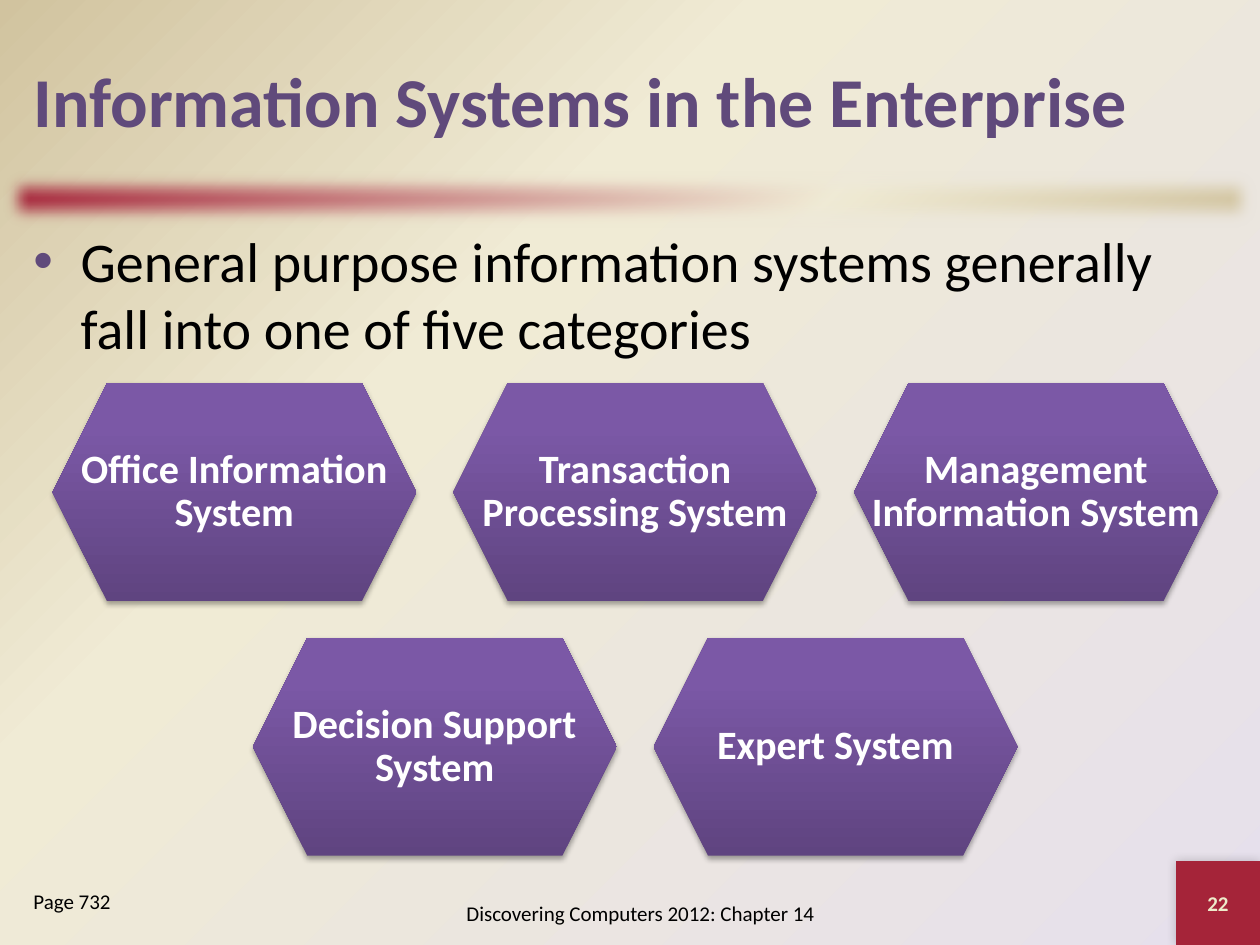
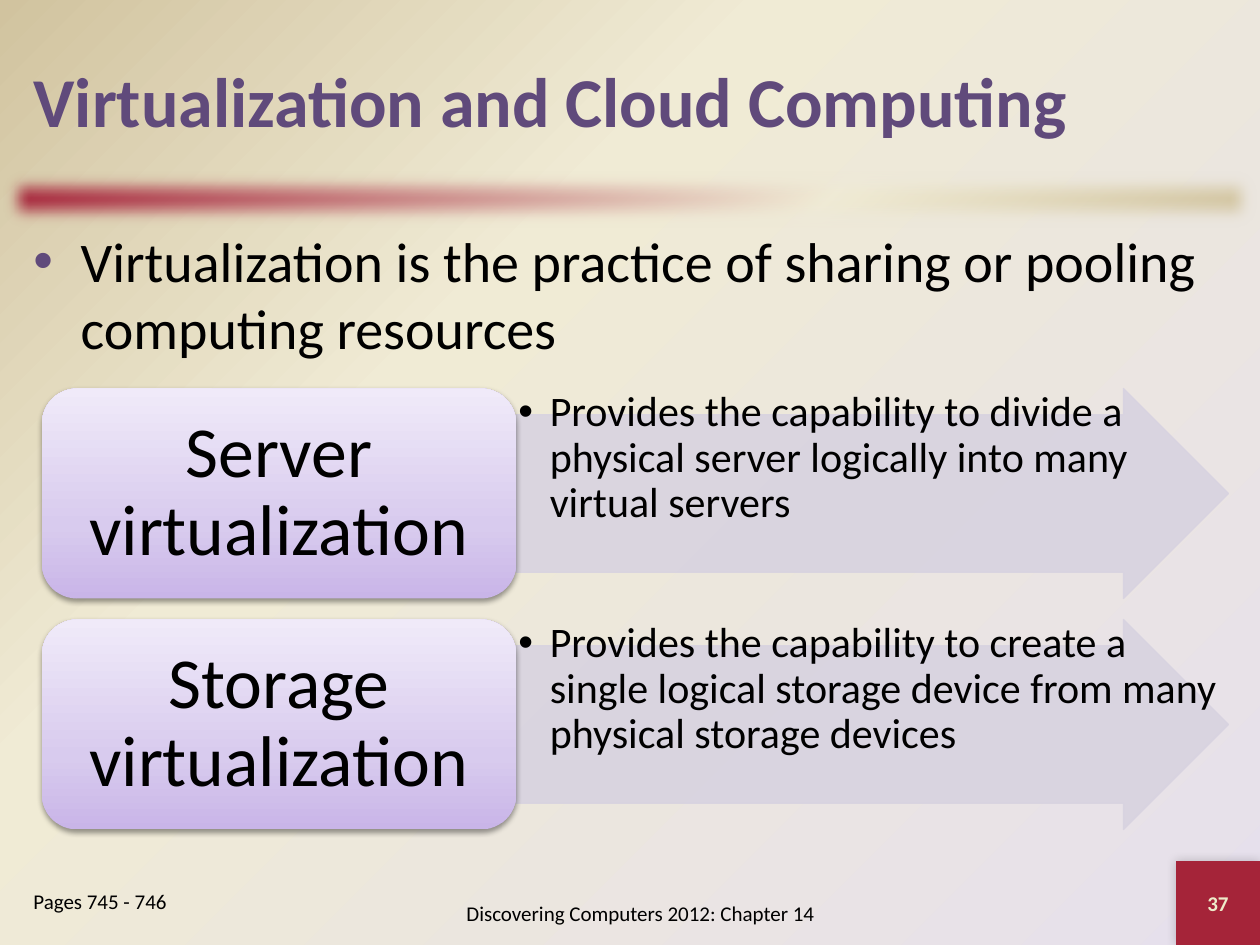
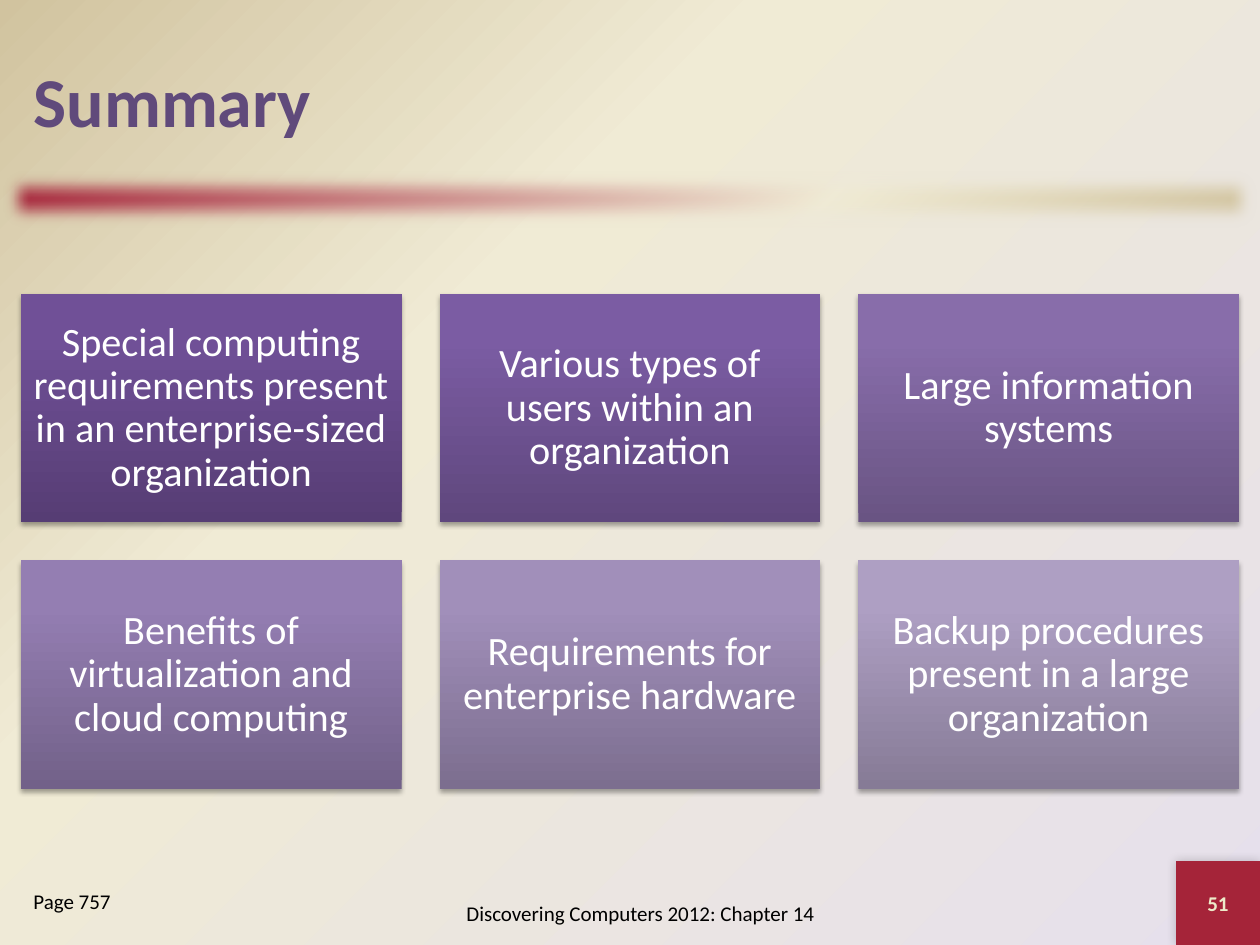
from dataclasses import dataclass
from typing import Iterator, NamedTuple

from lxml import etree
from pptx import Presentation
from pptx import util as u
from pptx.dml.color import RGBColor
from pptx.enum import shapes, text
from pptx.oxml.ns import qn

Pt = u.Pt
Shape = shapes.MSO_SHAPE
Align = text.PP_ALIGN
Anchor = text.MSO_ANCHOR
Stops = tuple[tuple[int, str], ...]


@dataclass(frozen=True)
class Theme:
    font: str = "Calibri"
    heading: str = "604A7B"
    ink: str = "000000"
    white: str = "FFFFFF"
    red: str = "A52439"
    number: str = "EEEBCA"
    arrow: str = "D8D3E0"
    page: Stops = ((0, "E6E0EC"), (65, "F0EBD5"), (100, "D1C39F"))
    band: Stops = ((0, "A52439"), (65, "F0EBD5"), (100, "D1C39F"))
    hexagon: Stops = ((0, "5F4480"), (80, "7B58A6"), (100, "7C57A8"))
    lilac: Stops = ((0, "C9B5E8"), (35, "D8CBEE"), (100, "F0EAF9"))
    title_size: float = 40
    body_size: float = 32
    topic_size: float = 41
    detail_size: float = 24
    tile_size: float = 23
    footer_size: float = 12


class Box(NamedTuple):
    x: float
    y: float
    w: float
    h: float

    def lengths(self) -> tuple:
        return tuple(Pt(v) for v in self)


class Style(NamedTuple):
    size: float
    color: str
    bold: bool = False
    align: Align = Align.LEFT
    anchor: Anchor = Anchor.TOP
    inset: tuple[float, float] = (7.2, 3.6)
    spacing: float = 1.0


class Bullet(NamedTuple):
    indent: float
    color: str


class Shadow(NamedTuple):
    alpha: int
    blur: float
    distance: float
    angle: int


class Page(NamedTuple):
    title: str
    number: str
    reference: str


class Topic(NamedTuple):
    name: str
    detail: str


class Tile(NamedTuple):
    label: str
    stops: Stops


THEME = Theme()
TITLE = Style(THEME.title_size, THEME.heading, True, anchor=Anchor.MIDDLE)
BODY = Style(THEME.body_size, THEME.ink)
REFERENCE = Style(THEME.footer_size, THEME.ink)
FOOTER = Style(THEME.footer_size, THEME.ink, False, Align.CENTER, Anchor.MIDDLE)
NUMBER = Style(THEME.footer_size, THEME.number, True, Align.CENTER, Anchor.MIDDLE)
TILE = Style(THEME.tile_size, THEME.white, False, Align.CENTER, Anchor.MIDDLE, (7, 7), 0.9)
CATEGORY = TILE._replace(bold=True)
TOPIC = TILE._replace(size=THEME.topic_size, color=THEME.ink, inset=(12.5, 6.25))
DETAIL = Style(THEME.detail_size, THEME.ink, inset=(1.2, 1.2), spacing=0.9)

TILE_SHADOW = Shadow(35, 3.1, 1.8, 90)
TOPIC_SHADOW = Shadow(38, 3.1, 1.6, 90)
CORNER_SHADOW = Shadow(20, 6, 0, 225)

TITLE_BOX = Box(12, 12, 696, 90)
BAND_BOX = Box(0, 96, 720, 36)
BODY_BOX = Box(12, 126, 696, 366)
FOOTER_BOX = Box(216, 504, 300, 36)
REFERENCE_BOX = Box(12, 504, 132, 36)
CORNER_BOX = Box(672, 492, 48, 48)

CATEGORIES = [
    "Office Information System",
    "Transaction Processing System",
    "Management Information System",
    "Decision Support System",
    "Expert System",
]
TOPICS = [
    Topic("Server virtualization",
          "Provides the capability to divide a physical server logically into many "
          "virtual servers"),
    Topic("Storage virtualization",
          "Provides the capability to create a single logical storage device from many "
          "physical storage devices"),
]
SUMMARY = [
    Tile("Special computing requirements present in an enterprise-sized organization",
         ((0, "563D74"), (80, "705097"), (100, "704F99"))),
    Tile("Various types of users within an organization",
         ((0, "5F477D"), (80, "7B5CA3"), (100, "7C5BA5"))),
    Tile("Large information systems",
         ((0, "695483"), (80, "886DAA"), (100, "886DAC"))),
    Tile("Benefits of virtualization and cloud computing",
         ((0, "726189"), (80, "947EB2"), (100, "957EB4"))),
    Tile("Requirements for enterprise hardware",
         ((0, "7C6E8F"), (80, "A18FBA"), (100, "A18FBC"))),
    Tile("Backup procedures present in a large organization",
         ((0, "867B96"), (80, "AE9FC3"), (100, "AE9FC4"))),
]


def child(parent, tag: str, **attrs):
    return etree.SubElement(parent, qn(tag), {k: str(v) for k, v in attrs.items()})


def set_gradient(owner, fill, stops: Stops, angle: int | None) -> None:
    """Fill with stops along a clockwise angle, or round the lower right corner if None."""
    fill.gradient()
    grad = owner._element.find(".//" + qn("a:gradFill"))
    del grad[:]
    gs_lst = child(grad, "a:gsLst")
    for position, color in stops:
        gs = child(gs_lst, "a:gs", pos=position * 1000)
        child(gs, "a:srgbClr", val=color)
    if angle is None:
        path = child(grad, "a:path", path="circle")
        child(path, "a:fillToRect", l=100000, t=100000)
    else:
        child(grad, "a:lin", ang=angle * 60000, scaled=0)


def add_shadow(sp, shadow: Shadow) -> None:
    effects = sp._element.spPr.find(qn("a:effectLst"))
    outer = child(effects, "a:outerShdw", blurRad=Pt(shadow.blur), dist=Pt(shadow.distance),
                  dir=shadow.angle * 60000, rotWithShape=0)
    child(child(outer, "a:srgbClr", val=THEME.ink), "a:alpha", val=shadow.alpha * 1000)


def add_shape(slide, kind: Shape, box: Box, fill: str | Stops,
              shadow: Shadow | None = None, angle: int = 270):
    sp = slide.shapes.add_shape(kind, *box.lengths())
    sp.shadow.inherit = False
    sp.line.fill.background()
    if isinstance(fill, str):
        sp.fill.solid()
        sp.fill.fore_color.rgb = RGBColor.from_string(fill)
    else:
        set_gradient(sp, sp.fill, fill, angle)
    if shadow:
        add_shadow(sp, shadow)
    return sp


def write(sp, words: str, style: Style, bullet: Bullet | None = None) -> None:
    tf = sp.text_frame
    tf.word_wrap = True
    tf.auto_size = text.MSO_AUTO_SIZE.NONE
    tf.vertical_anchor = style.anchor
    tf.margin_left = tf.margin_right = Pt(style.inset[0])
    tf.margin_top = tf.margin_bottom = Pt(style.inset[1])
    p = tf.paragraphs[0]
    p.alignment = style.align
    p.line_spacing = style.spacing
    if bullet:
        props = p._p.get_or_add_pPr()
        props.set("marL", str(Pt(bullet.indent)))
        props.set("indent", str(-Pt(bullet.indent)))
        child(child(props, "a:buClr"), "a:srgbClr", val=bullet.color)
        child(props, "a:buFont", typeface="Arial")
        child(props, "a:buChar", char="•")
    r = p.add_run()
    r.text = words
    r.font.name = THEME.font
    r.font.size = Pt(style.size)
    r.font.bold = style.bold
    r.font.color.rgb = RGBColor.from_string(style.color)


def add_text(slide, box: Box, words: str, style: Style, bullet: Bullet | None = None) -> None:
    write(slide.shapes.add_textbox(*box.lengths()), words, style, bullet)


def add_body(slide, words: str) -> None:
    add_text(slide, BODY_BOX, words, BODY, Bullet(27, THEME.heading))


def add_page(prs, page: Page):
    """Add a slide with its title, band, footer and numbered corner."""
    slide = prs.slides.add_slide(prs.slide_layouts.get_by_name("Title Only"))
    band = add_shape(slide, Shape.RECTANGLE, BAND_BOX, THEME.band, angle=45)
    child(band._element.spPr.find(qn("a:effectLst")), "a:softEdge", rad=Pt(10))
    corner = add_shape(slide, Shape.RECTANGLE, CORNER_BOX, THEME.red, CORNER_SHADOW)
    write(corner, page.number, NUMBER)

    title = slide.shapes.title
    title.left, title.top, title.width, title.height = TITLE_BOX.lengths()
    write(title, page.title, TITLE)
    add_text(slide, FOOTER_BOX, "Discovering Computers 2012: Chapter 14", FOOTER)
    add_text(slide, REFERENCE_BOX, page.reference, REFERENCE)
    return slide


def centred_rows(count: int, columns: int, centre: float, top: float,
                 w: float, h: float, gap: float) -> Iterator[Box]:
    """Yield cells row by row, with every row, even a short one, centred."""
    for i in range(count):
        row, column = divmod(i, columns)
        in_row = min(columns, count - row * columns)
        left = centre - (in_row * (w + gap) - gap) / 2
        yield Box(left + column * (w + gap), top + row * (h + gap), w, h)


def build_categories(prs) -> None:
    slide = add_page(prs, Page("Information Systems in the Enterprise", "22", "Page 732"))
    add_body(slide, "General purpose information systems generally fall into one of "
                    "five categories")
    cells = centred_rows(len(CATEGORIES), 3, 363, 219, 208, 124.5, 21)
    for name, cell in zip(CATEGORIES, cells):
        add_shape(slide, Shape.HEXAGON, cell, THEME.hexagon, TILE_SHADOW)
        add_text(slide, cell, name, CATEGORY)


def add_arrow(slide, box: Box) -> None:
    sp = add_shape(slide, Shape.RIGHT_ARROW, box, THEME.arrow)
    sp.adjustments[0], sp.adjustments[1] = 0.75, 0.5
    sp.line.color.rgb = RGBColor.from_string(THEME.arrow)
    sp.line.width = Pt(0.75)
    for color in sp._element.spPr.iter(qn("a:srgbClr")):
        child(color, "a:alpha", val=90000)


def build_virtualization(prs) -> None:
    slide = add_page(prs, Page("Virtualization and Cloud Computing", "37", "Pages 745 - 746"))
    add_body(slide, "Virtualization is the practice of sharing or pooling computing resources")
    for row, topic in enumerate(TOPICS):
        name_box = Box(24, 222 + row * 132, 271, 120)
        arrow_box = name_box._replace(x=name_box.x + name_box.w, w=407)
        add_arrow(slide, arrow_box)
        add_text(slide, arrow_box, topic.detail, DETAIL, Bullet(18, THEME.ink))
        sp = add_shape(slide, Shape.ROUNDED_RECTANGLE, name_box, THEME.lilac, TOPIC_SHADOW)
        write(sp, topic.name, TOPIC)


def build_summary(prs) -> None:
    slide = add_page(prs, Page("Summary", "51", "Page 757"))
    cells = centred_rows(len(SUMMARY), 3, 360, 168, 217.5, 130.5, 21.75)
    for tile, cell in zip(SUMMARY, cells):
        sp = add_shape(slide, Shape.RECTANGLE, cell, tile.stops, TILE_SHADOW)
        write(sp, tile.label, TILE)


def main() -> None:
    prs = Presentation()
    prs.slide_width, prs.slide_height = Pt(720), Pt(540)
    master = prs.slide_master
    set_gradient(master, master.background.fill, THEME.page, None)
    build_categories(prs)
    build_virtualization(prs)
    build_summary(prs)
    prs.save("out.pptx")


if __name__ == "__main__":
    main()
